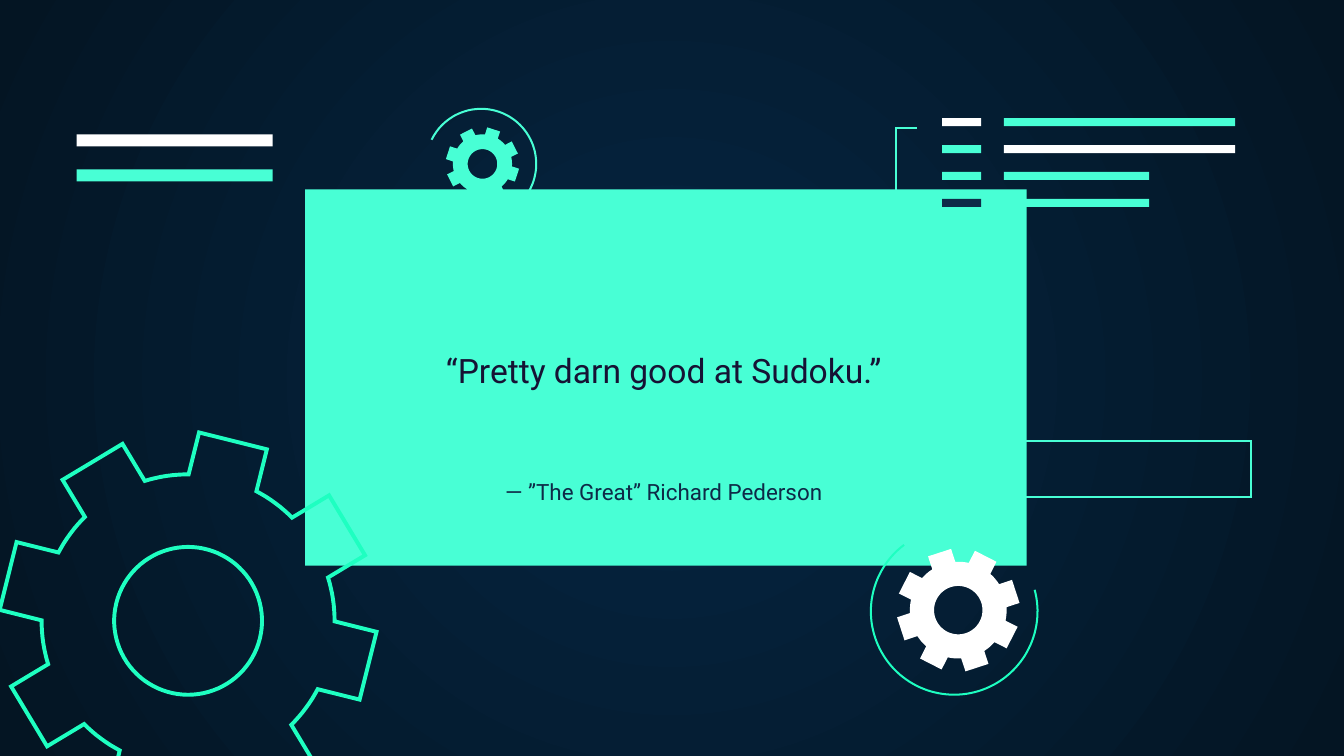
from math import cos, radians, sin, sqrt

from lxml import etree
from pptx import Presentation
from pptx.dml.color import RGBColor
from pptx.enum import shapes, text
from pptx.oxml import ns
from pptx.util import Inches, Pt

COLORS = {
    "mint": "48FFD5",
    "green": "1EFFC1",
    "white": "FFFFFF",
    "navy": "0E2A47",
    "ink": "161234",
    "center": "052643",
    "edge": "041523",
}
FONT = "Roboto"
TEETH = 8
THIN = 1.09


def rgb(name):
    return RGBColor.from_string(COLORS[name])


def paint(shape, fill=None, line=None, width=THIN):
    shape.shadow.inherit = False
    if fill:
        shape.fill.solid()
        shape.fill.fore_color.rgb = rgb(fill)
    else:
        shape.fill.background()
    if line:
        shape.line.color.rgb = rgb(line)
        shape.line.width = Pt(width)
        # Sharp corners
        outline = shape._element.find(".//" + ns.qn("a:ln"))
        etree.SubElement(outline, ns.qn("a:miter"), lim="800000")
    else:
        shape.line.fill.background()


def set_background(slide, inner, outer):
    """Fill the slide with a gradient that spreads from its middle."""
    fill = slide.background.fill
    fill.gradient()
    for stop, name in zip(fill.gradient_stops, (inner, outer)):
        stop.color.rgb = rgb(name)
    gradient = slide._element.find(".//" + ns.qn("a:gradFill"))
    gradient.remove(gradient.find(ns.qn("a:lin")))
    circle = etree.SubElement(gradient, ns.qn("a:path"), path="circle")
    etree.SubElement(circle, ns.qn("a:fillToRect"),
                     {side: "50000" for side in "ltrb"})


def add_rectangle(slide, left, top, width, height, **style):
    shape = slide.shapes.add_shape(
        shapes.MSO_SHAPE.RECTANGLE,
        Inches(left), Inches(top), Inches(width), Inches(height))
    paint(shape, **style)


def add_outline(slide, contours, close, **style):
    """Draw one freeform from lists of points in inches."""
    contours = [[(Inches(x), Inches(y)) for x, y in points]
                for points in contours]
    builder = slide.shapes.build_freeform(*contours[0][0])
    for index, points in enumerate(contours):
        if index:
            builder.move_to(*points[0])
        builder.add_line_segments(points[1:], close=close)
    paint(builder.convert_to_shape(), **style)


def arc_points(center, radius, start, end, steps=90):
    """Points on an arc; degrees run clockwise from the top."""
    angles = [radians(start + (end - start) * i / steps)
              for i in range(steps + 1)]
    return [(center[0] + radius * sin(a), center[1] - radius * cos(a))
            for a in angles]


def add_arc(slide, center, radius, start, end, color):
    add_outline(slide, [arc_points(center, radius, start, end)], False,
                line=color)


def add_gear(slide, center, tip, body, half_tooth, hole, turn, **style):
    """Draw a gear: square teeth, round body between them, round hole."""
    base = sqrt(body ** 2 - half_tooth ** 2)
    tooth = [(-half_tooth, base), (-half_tooth, tip),
             (half_tooth, tip), (half_tooth, base)]
    pitch = 360 / TEETH
    rim = []
    for index in range(TEETH):
        degrees = turn + index * pitch
        angle = radians(degrees)
        rim += [(center[0] + across * cos(angle) + out * sin(angle),
                 center[1] + across * sin(angle) - out * cos(angle))
                for across, out in tooth]
        # The body bulges between this tooth and the next
        rim += arc_points(center, body, degrees + pitch * 0.35,
                          degrees + pitch * 0.65, 6)
    add_outline(slide, [rim, arc_points(center, hole, 360, 0)], True, **style)


def add_text(slide, left, top, width, height, words, size, color, anchor):
    box = slide.shapes.add_textbox(
        Inches(left), Inches(top), Inches(width), Inches(height))
    frame = box.text_frame
    frame.word_wrap = True
    frame.vertical_anchor = anchor
    frame.margin_left = frame.margin_right = Inches(0.1)
    frame.margin_top = frame.margin_bottom = Inches(0.1)
    paragraph = frame.paragraphs[0]
    paragraph.alignment = text.PP_ALIGN.CENTER
    run = paragraph.add_run()
    run.text = words
    run.font.name = FONT
    run.font.size = Pt(size)
    run.font.color.rgb = rgb(color)


def add_code_lines(slide):
    """Draw the rows of a short and a long bar at the top right."""
    rows = [("white", "mint", 1.72), ("mint", "white", 1.72),
            ("mint", "mint", 1.08), ("navy", "mint", 1.08)]
    for index, (marker, color, width) in enumerate(rows):
        top = 0.88 + index * 0.2
        add_rectangle(slide, 7.01, top, 0.29, 0.06, fill=marker)
        add_rectangle(slide, 7.47, top, width, 0.06, fill=color)


def main():
    presentation = Presentation()
    # Widescreen, 16:9
    presentation.slide_width = Inches(10)
    presentation.slide_height = Inches(10) * 9 // 16
    slide = presentation.slides.add_slide(presentation.slide_layouts[6])
    set_background(slide, "center", "edge")

    # Quote panel
    add_rectangle(slide, 2.27, 1.41, 5.37, 2.8, fill="mint")

    # Gears and the arcs around them
    add_arc(slide, (3.58, 1.22), 0.41, -64, 186, "mint")
    add_arc(slide, (7.1, 4.55), 0.62, 75, 323, "green")
    add_gear(slide, (1.4, 4.62), 1.38, 1.09, 0.26, 0.55, 14,
             line="green", width=2.1)
    add_gear(slide, (7.13, 4.54), 0.45, 0.36, 0.09, 0.18, -18, fill="white")
    add_gear(slide, (3.59, 1.22), 0.27, 0.22, 0.05, 0.11, 18, fill="mint")

    # Code lines with their bracket
    add_code_lines(slide)
    bracket = [(6.83, 1.56), (6.67, 1.56), (6.67, 0.95), (6.82, 0.95)]
    add_outline(slide, [bracket], False, line="mint")

    # Two bars at the left, empty box at the right
    for top, color in ((1, "white"), (1.26, "mint")):
        add_rectangle(slide, 0.57, top, 1.46, 0.09, fill=color)
    add_rectangle(slide, 7.2, 3.28, 2.11, 0.42, line="mint")

    # Quote and its author
    add_text(slide, 3.01, 1.74, 3.86, 2.12, "— ”The Great” Richard Pederson",
             12, "navy", text.MSO_ANCHOR.BOTTOM)
    add_text(slide, 3.05, 2.5, 3.78, 0.42, "“Pretty darn good at Sudoku.”",
             18, "ink", text.MSO_ANCHOR.TOP)

    presentation.save("out.pptx")


if __name__ == "__main__":
    main()
